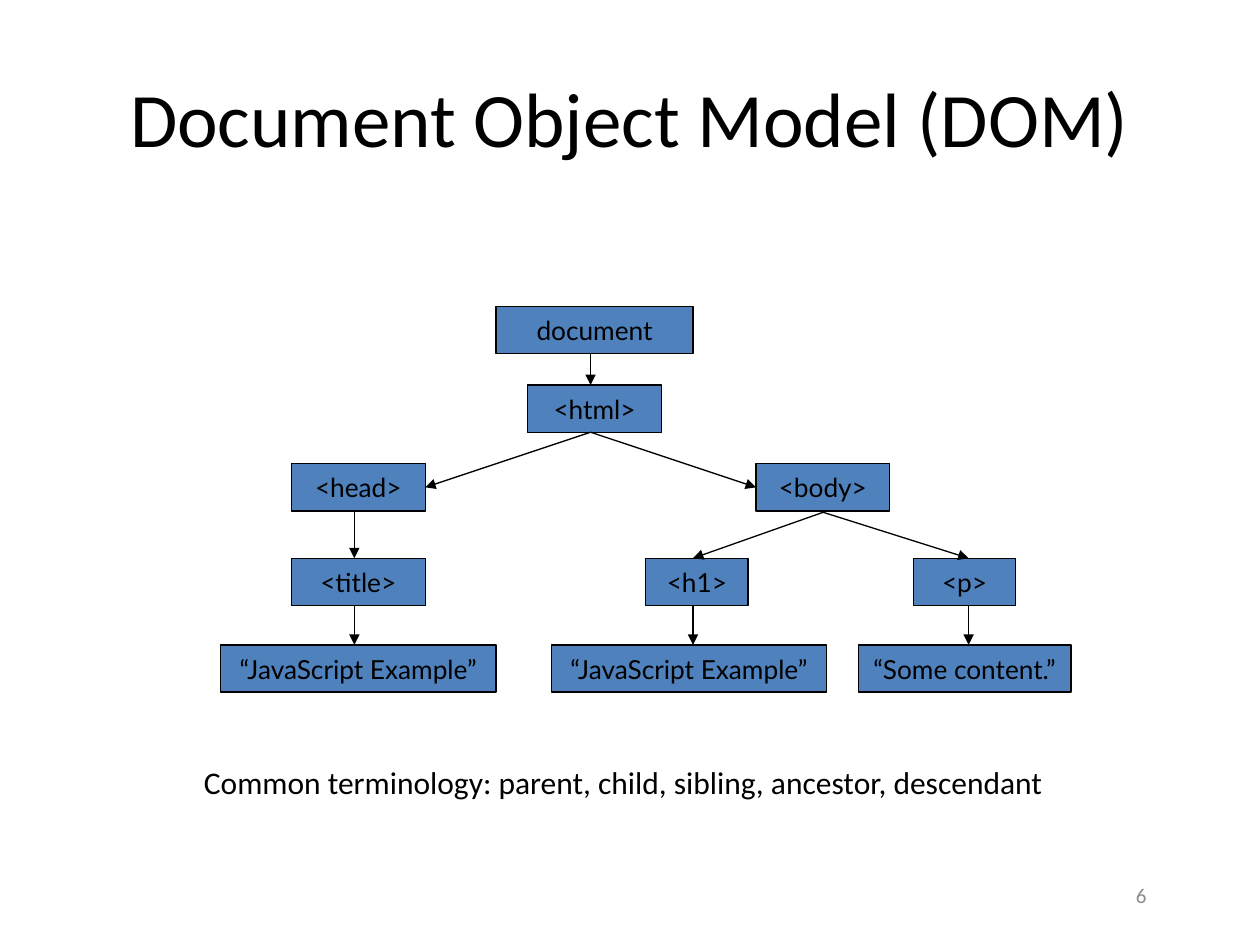
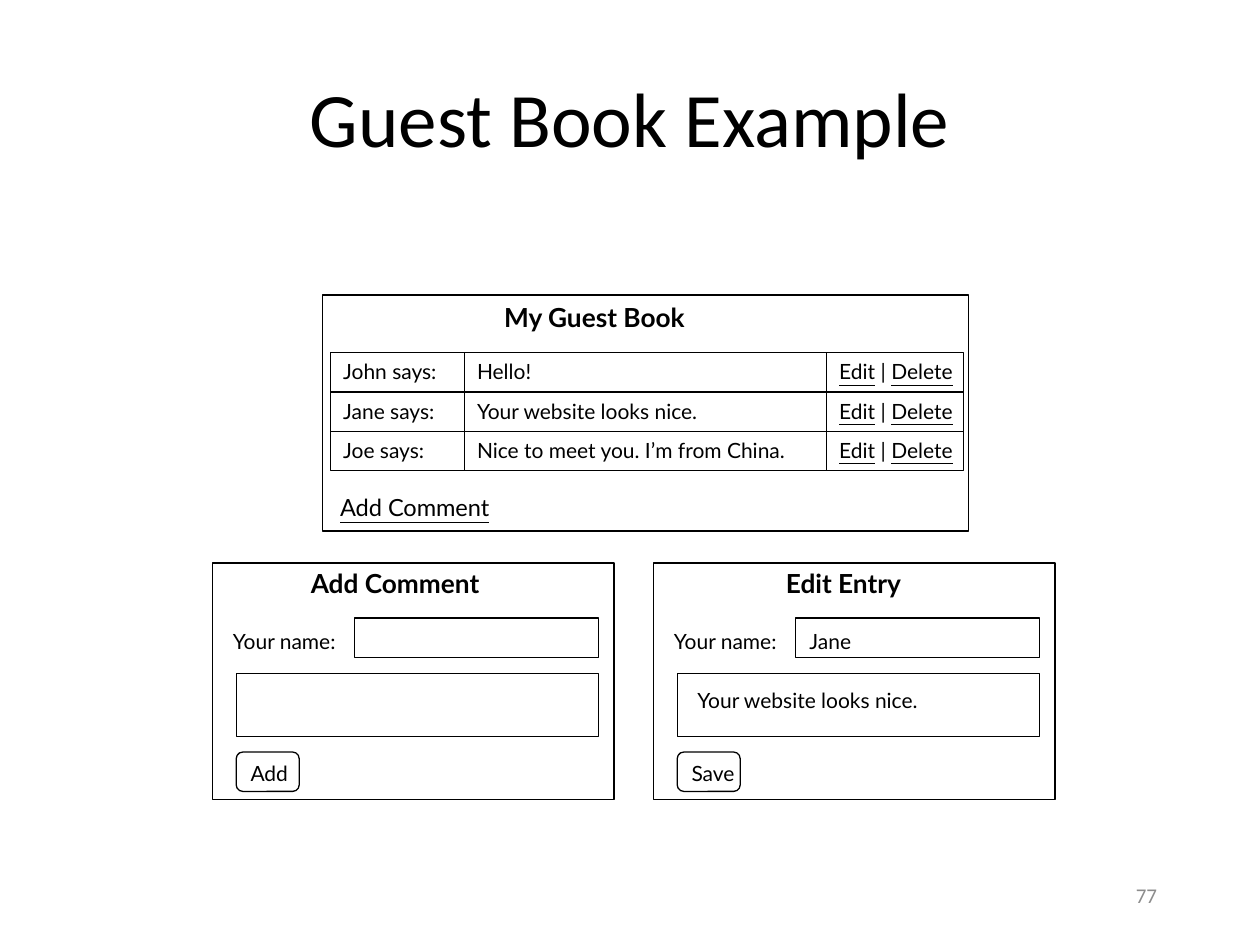
from lxml import etree
from pptx import Presentation
from pptx.dml.color import RGBColor
from pptx.enum.shapes import MSO_CONNECTOR, MSO_SHAPE
from pptx.enum.text import MSO_ANCHOR, MSO_AUTO_SIZE, PP_ALIGN
from pptx.oxml.ns import qn
from pptx.util import Pt

RECT, ROUNDED = MSO_SHAPE.RECTANGLE, MSO_SHAPE.ROUNDED_RECTANGLE
STRAIGHT = MSO_CONNECTOR.STRAIGHT
TOP, MIDDLE = MSO_ANCHOR.TOP, MSO_ANCHOR.MIDDLE
LEFT, CENTER = PP_ALIGN.LEFT, PP_ALIGN.CENTER
GROW = MSO_AUTO_SIZE.SHAPE_TO_FIT_TEXT

COLORS = {"ink": "000000", "node": "4F81BD", "number": "8C8C8C"}
HEADING, BODY = "Calibri", "Lato"
LINE_WIDTH = 0.75
LINKS = [("Edit", True), (" | ", False), ("Delete", True)]


def color(name):
    return RGBColor.from_string(COLORS[name])


def write(box, text, font=BODY, size=12, ink="ink", bold=False, underline=False,
          align=LEFT, anchor=TOP, wrap=False):
    """Fill a box with a string, or with (text, underline) pairs."""
    frame = box.text_frame
    frame.word_wrap = wrap
    frame.vertical_anchor = anchor
    para = frame.paragraphs[0]
    para.alignment = align
    spans = [(text, underline)] if isinstance(text, str) else text
    for words, underlined in spans:
        span = para.add_run()
        span.text = words
        span.font.name = font
        span.font.size = Pt(size)
        span.font.bold = bold
        span.font.underline = underlined
        span.font.color.rgb = color(ink)


def add_label(page, left, top, width, height, text, grow=True, **style):
    box = page.shapes.add_textbox(Pt(left), Pt(top), Pt(width), Pt(height))
    write(box, text, **style)
    if grow:
        box.text_frame.auto_size = GROW


def add_box(page, left, top, width, height, text=None, shape=RECT, fill=None, **style):
    box = page.shapes.add_shape(shape, Pt(left), Pt(top), Pt(width), Pt(height))
    box.shadow.inherit = False
    if fill:
        box.fill.solid()
        box.fill.fore_color.rgb = color(fill)
    else:
        box.fill.background()
    box.line.color.rgb = color("ink")
    box.line.width = Pt(LINE_WIDTH)
    if text:
        write(box, text, **style)


def add_arrow(page, x1, y1, x2, y2):
    arrow = page.shapes.add_connector(STRAIGHT, Pt(x1), Pt(y1), Pt(x2), Pt(y2))
    arrow.line.color.rgb = color("ink")
    arrow.line.width = Pt(LINE_WIDTH)
    etree.SubElement(arrow.line._get_or_add_ln(), qn("a:tailEnd"), type="triangle")
    etree.SubElement(arrow._element.spPr, qn("a:effectLst"))


def add_page(deck, title, number):
    """Blank page with the shared title and page number."""
    page = deck.slides.add_slide(deck.slide_layouts[6])
    add_label(page, 36, 21.6, 648, 90, title, grow=False, font=HEADING, size=44,
              align=CENTER, anchor=MIDDLE, wrap=True)
    add_label(page, 642, 497, 42, 28.75, number, grow=False, font=HEADING,
              ink="number", anchor=MIDDLE, wrap=True)
    return page


def add_dom_tree(page, left, top):
    node_height = 27
    levels = [0, 45, 90, 144, 193.5]
    # Name: text, level, left edge, width
    nodes = {
        "document": ("document", 0, 157.5, 112.5),
        "html": ("<html>", 1, 175.5, 76.5),
        "head": ("<head>", 2, 40.5, 76.5),
        "body": ("<body>", 2, 306, 76.5),
        "title": ("<title>", 3, 40.5, 76.5),
        "h1": ("<h1>", 3, 243, 58.5),
        "p": ("<p>", 3, 396, 58.5),
        "title text": ("“JavaScript Example”", 4, 0, 157.5),
        "h1 text": ("“JavaScript Example”", 4, 189, 157.5),
        "p text": ("“Some content.”", 4, 364.5, 121.5),
    }
    for text, level, x, width in nodes.values():
        add_box(page, left + x, top + levels[level], width, node_height, text,
                fill="node", size=15, align=CENTER, anchor=MIDDLE)

    # Parent, child, start x, end x, and whether the arrow enters at the side
    edges = [
        ("document", "html", 211.5, 211.5, False),
        ("html", "head", 211.5, 117, True),
        ("html", "body", 211.5, 306, True),
        ("head", "title", 76.5, 76.5, False),
        ("body", "h1", 346.5, 270, False),
        ("body", "p", 342, 427.5, False),
        ("title", "title text", 76.5, 76.5, False),
        ("h1", "h1 text", 270, 270, False),
        ("p", "p text", 427.5, 427.5, False),
    ]
    for parent, child, start, end, at_side in edges:
        y1 = top + levels[nodes[parent][1]] + node_height
        y2 = top + levels[nodes[child][1]] + (node_height / 2 if at_side else 0)
        add_arrow(page, left + start, y1, left + end, y2)


def add_guest_book(page, left, top):
    add_box(page, left, top, 369, 135)
    add_label(page, left + 96.5, top, 127.5, 25, "My Guest Book", size=15, bold=True)
    columns = [(4.5, 76.5), (81, 207), (288, 78)]
    entries = [
        ("John says:", "Hello!", LINKS),
        ("Jane says:", "Your website looks nice.", LINKS),
        ("Joe says:", "Nice to meet you. I’m from China.", LINKS),
    ]
    row_height = 22.5
    for row, entry in enumerate(entries):
        for (x, width), text in zip(columns, entry):
            add_box(page, left + x, top + 33 + row * row_height, width, row_height, text)
    add_label(page, left + 2.75, top + 109.5, 100, 23.75, "Add Comment", size=13.5,
              underline=True)


def add_form(page, left, top, title, title_x, title_width, button, name=None, comment=None):
    add_box(page, left, top, 229.5, 135)
    add_label(page, left + title_x, top - 1.25, title_width, 25, title, size=15, bold=True)
    # Fields
    add_label(page, left + 4.5, top + 34, 76.5, 21.6, "Your name:")
    add_box(page, left + 81, top + 31.5, 139.5, 22.5)
    add_box(page, left + 13.5, top + 63, 207, 36)
    add_box(page, left + 13.5, top + 108, 36, 22.5, button, shape=ROUNDED)
    # Values already entered
    if name:
        add_label(page, left + 82, top + 34, 39, 21.6, name)
    if comment:
        add_label(page, left + 18, top + 67.75, 189, 21.6, comment, wrap=True)


def main():
    deck = Presentation()
    deck.slide_width, deck.slide_height = Pt(720), Pt(540)

    page = add_page(deck, "Document Object Model (DOM)", "6")
    add_dom_tree(page, 126, 175)
    add_label(page, 109.5, 432.75, 501, 29,
              "Common terminology: parent, child, sibling, ancestor, descendant",
              font=HEADING, size=18, wrap=True)

    page = add_page(deck, "Guest Book Example", "77")
    add_guest_book(page, 184.5, 168.5)
    add_form(page, 121.5, 321.75, "Add Comment", 49, 121.75, "Add")
    add_form(page, 373.5, 321.75, "Edit Entry", 68.5, 89.25, "Save",
             name="Jane", comment="Your website looks nice.")

    deck.save("out.pptx")


if __name__ == "__main__":
    main()
